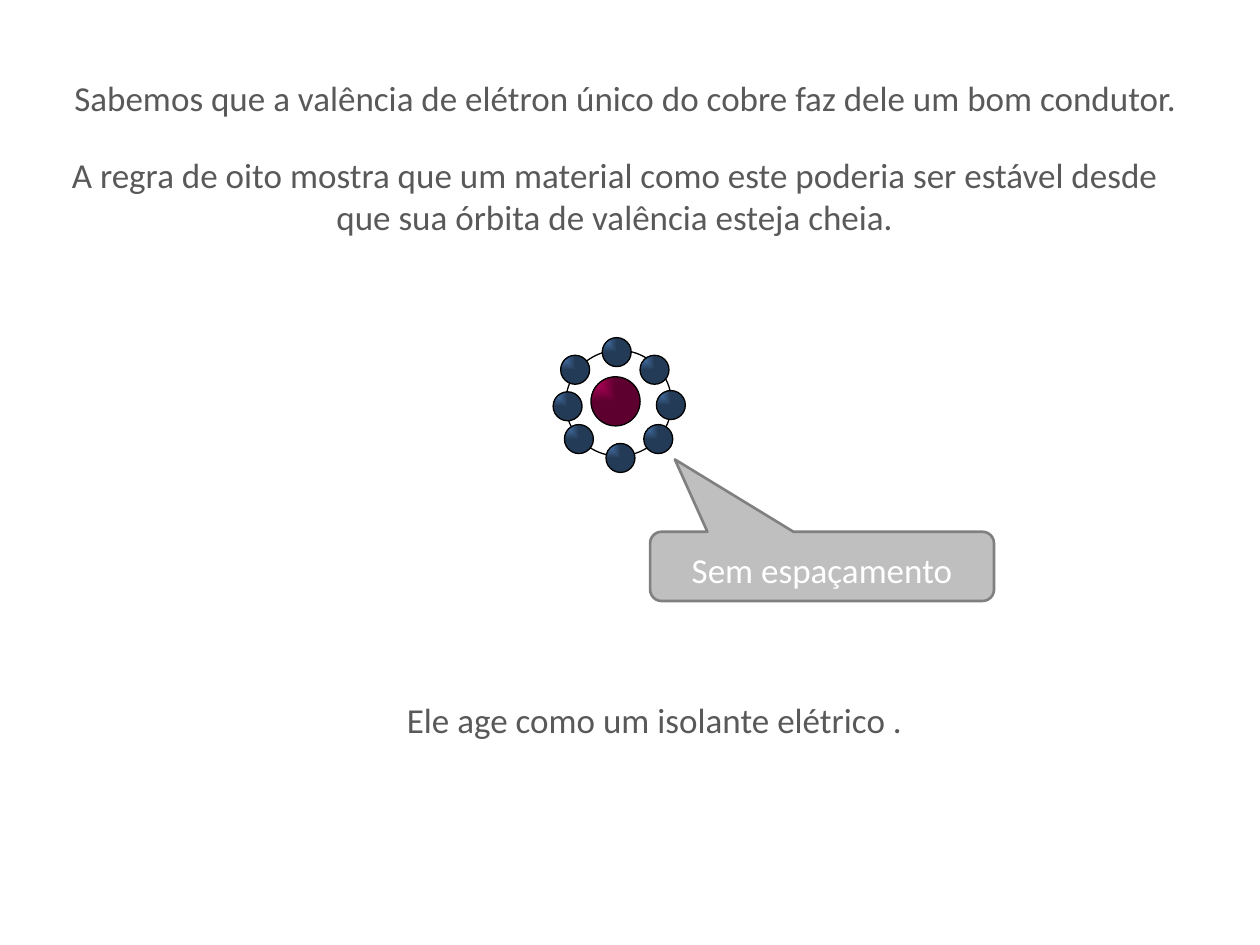
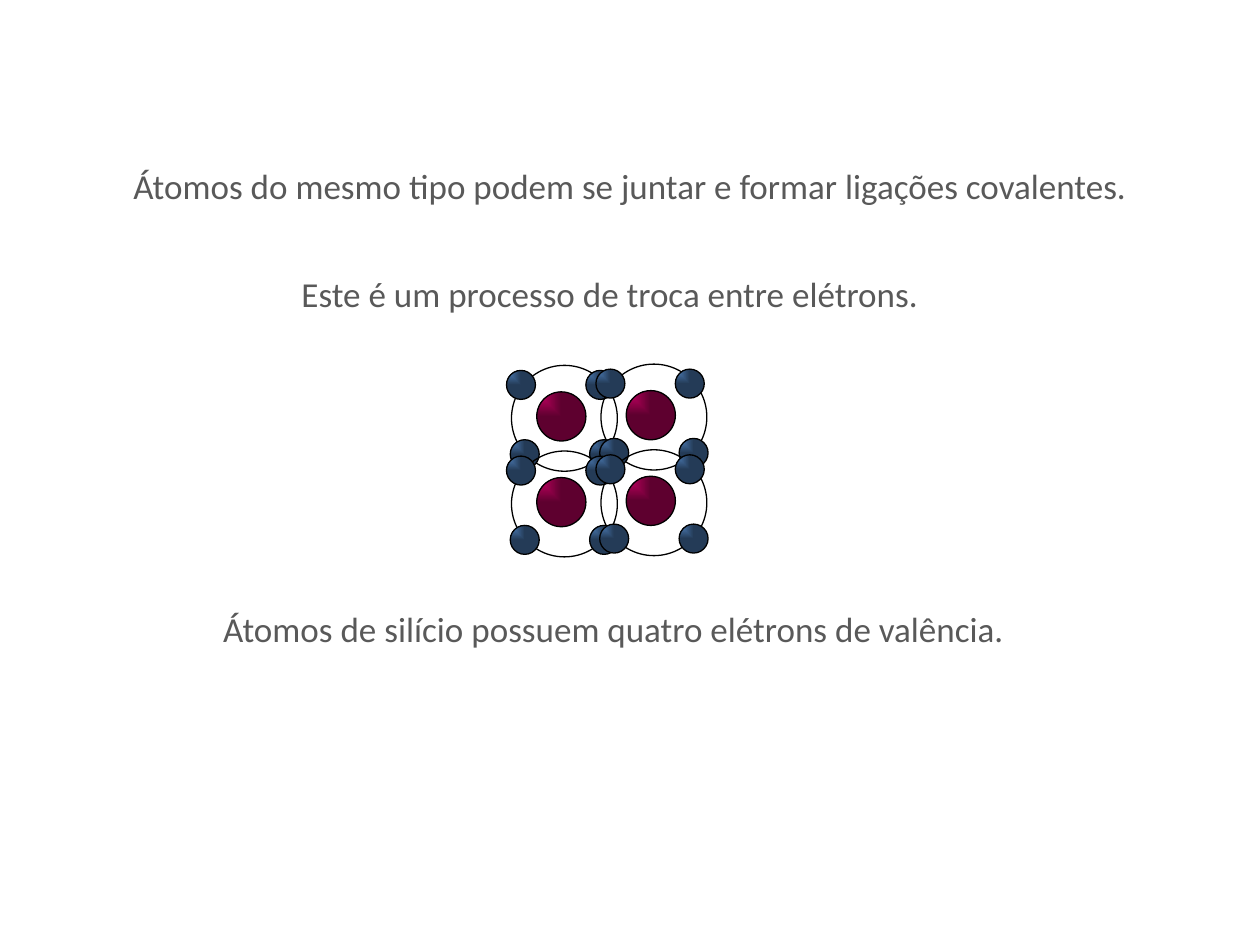
from itertools import product

from lxml.etree import SubElement
from pptx import Presentation
from pptx.dml.color import RGBColor
from pptx.enum.shapes import MSO_SHAPE as Shape
from pptx.enum.text import MSO_ANCHOR as Anchor, PP_ALIGN as Align
from pptx.oxml.ns import qn
from pptx.util import Inches, Pt

COLORS = {
    "text": "595959",
    "white": "FFFFFF",
    "outline": "000000",
    "callout": "BFBFBF",
    "callout_line": "808080",
    "nucleus_light": "CC0066",
    "nucleus_dark": "5E002F",
    "electron_light": "4F81BD",
    "electron_dark": "243B57",
}
FONT = "Calibri"
ORBIT_SIZE, NUCLEUS_SIZE, ELECTRON_SIZE = 0.84, 0.39, 0.23
NUCLEUS_OFFSET = (0.2, 0.21)
CORNER_ELECTRONS = [(-0.04, 0.04), (-0.01, 0.59), (0.59, 0.04), (0.62, 0.59)]
AXIS_ELECTRONS = [(-0.1, 0.33), (0.72, 0.32), (0.32, 0.74), (0.29, -0.1)]


def color(name):
    return RGBColor.from_string(COLORS[name])


def write(shape, text, color_name="text"):
    frame = shape.text_frame
    frame.word_wrap = True
    frame.vertical_anchor = Anchor.MIDDLE
    para = frame.paragraphs[0]
    para.text = text
    para.alignment = Align.CENTER
    para.font.name = FONT
    para.font.size = Pt(20)
    para.font.color.rgb = color(color_name)


def add_statement(page, box, text):
    write(page.shapes.add_textbox(*map(Inches, box)), text)


def outline(shape, color_name, width):
    shape.shadow.inherit = False
    shape.line.color.rgb = color(color_name)
    shape.line.width = Pt(width)


def fill_from_corner(shape, part):
    fill = shape.fill
    fill.gradient()
    for stop, tone in zip(fill.gradient_stops, ("light", "dark")):
        stop.color.rgb = color(f"{part}_{tone}")
    gradient = shape._element.spPr.find(qn("a:gradFill"))
    gradient.remove(gradient.find(qn("a:lin")))
    shade = SubElement(gradient, qn("a:path"), {"path": "rect"})
    SubElement(shade, qn("a:fillToRect"), {"r": "100000", "b": "100000"})


def add_circle(group, left, top, size, part=None):
    circle = group.shapes.add_shape(Shape.OVAL, *map(Inches, (left, top, size, size)))
    outline(circle, "outline", 0.75)
    if part:
        fill_from_corner(circle, part)
    else:
        circle.fill.background()


def add_atom(page, left, top, electrons):
    atom = page.shapes.add_group_shape()
    nucleus_x, nucleus_y = NUCLEUS_OFFSET
    add_circle(atom, left + nucleus_x, top + nucleus_y, NUCLEUS_SIZE, "nucleus")
    add_circle(atom, left, top, ORBIT_SIZE)
    for x, y in electrons:
        add_circle(atom, left + x, top + y, ELECTRON_SIZE, "electron")


def add_callout(page, box, text):
    callout = page.shapes.add_shape(Shape.ROUNDED_RECTANGULAR_CALLOUT, *map(Inches, box))
    for index, value in enumerate((-0.428, -1.544, 0.167)):
        callout.adjustments[index] = value
    callout.fill.solid()
    callout.fill.fore_color.rgb = color("callout")
    outline(callout, "callout_line", 1.5)
    write(callout, text, "white")
    callout.text_frame.margin_top = Inches(0.1)


def add_crystal(page, left, top):
    for row, column in product(range(2), repeat=2):
        add_atom(page, left + 0.71 * column, top + 0.68 * row - 0.01 * column,
                 CORNER_ELECTRONS)


def build_insulator_page(page):
    add_statement(page, (0.16, 0.55, 9.61, 0.44),
                  "Sabemos que a valência de elétron único do cobre faz dele um bom condutor.")
    add_statement(page, (0.23, 1.17, 9.3, 0.77),
                  "A regra de oito mostra que um material como este poderia ser estável desde "
                  "que sua órbita de valência esteja cheia.")
    add_atom(page, 4.49, 2.78, CORNER_ELECTRONS + AXIS_ELECTRONS)
    add_callout(page, (5.16, 4.22, 2.73, 0.55), "Sem espaçamento")
    add_statement(page, (2.58, 5.31, 5.23, 0.8), "Ele age como um isolante elétrico .")


def build_covalent_page(page):
    add_statement(page, (0.78, 1.25, 8.44, 0.44),
                  "Átomos do mesmo tipo podem se juntar e formar ligações covalentes.")
    add_statement(page, (2.27, 2.11, 5.14, 0.44),
                  "Este é um processo de troca entre elétrons.")
    add_crystal(page, 4.06, 2.9)
    add_statement(page, (1.64, 4.77, 6.46, 0.44),
                  "Átomos de silício possuem quatro elétrons de valência.")


def main():
    deck = Presentation()
    deck.slide_width, deck.slide_height = Inches(10), Inches(7.5)
    blank = deck.slide_layouts.get_by_name("Blank")
    for build in (build_insulator_page, build_covalent_page):
        build(deck.slides.add_slide(blank))
    deck.save("out.pptx")


if __name__ == "__main__":
    main()
